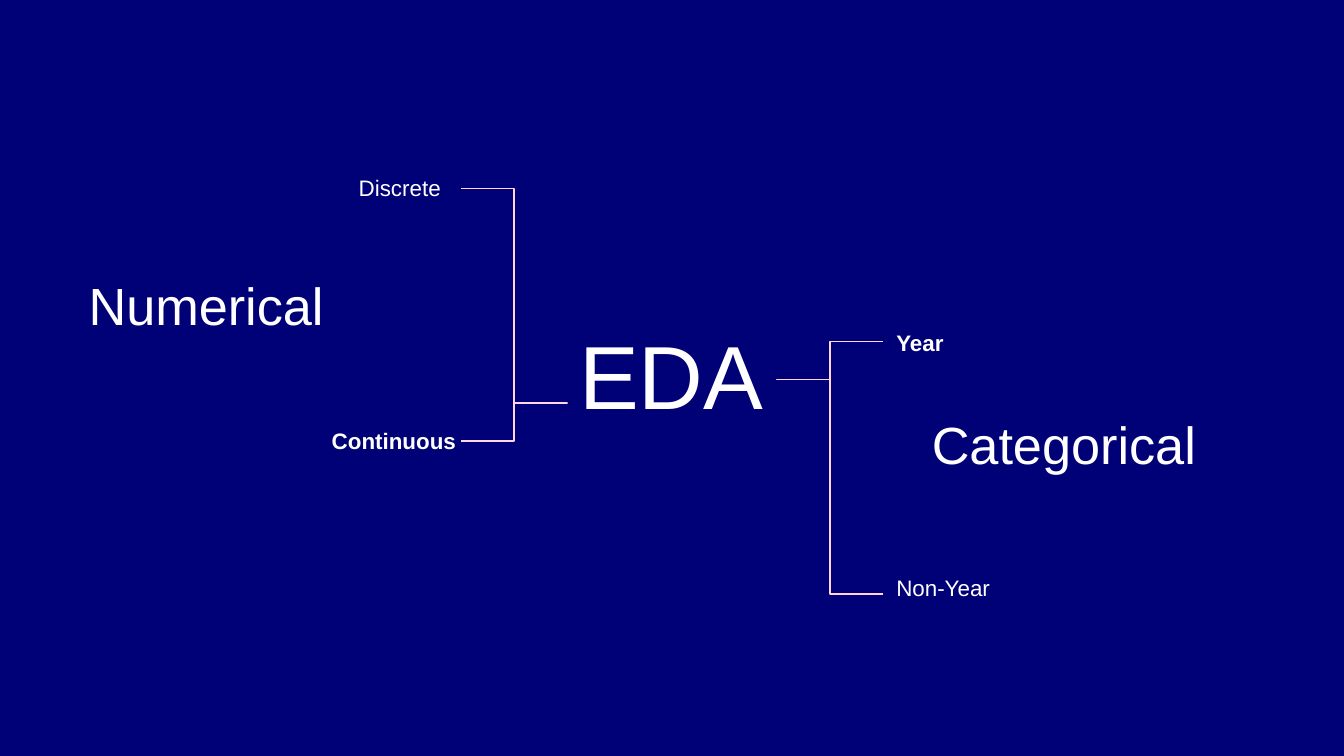
from dataclasses import dataclass

from pptx import Presentation
from pptx.dml.color import RGBColor
from pptx.enum.shapes import MSO_SHAPE
from pptx.enum.text import MSO_ANCHOR, MSO_AUTO_SIZE, PP_ALIGN
from pptx.slide import Slide
from pptx.text.text import TextFrame
from pptx.util import Cm, Pt

NAVY = RGBColor(0x01, 0x01, 0x77)
WHITE = RGBColor(0xFF, 0xFF, 0xFF)
PINK = RGBColor(0xFF, 0xD6, 0xE1)

FONT = "Arial"
INSET = Cm(0.25)
BRACE_WIDTH, BRACE_HEIGHT = 2.01, 4.78
BRACE_POINT = 0.849
GROUP_WIDTH, GROUP_HEIGHT = 13.13, 1.6
LEAF_HEIGHT = 1.3


@dataclass(frozen=True)
class Brace:
    left: float
    top: float
    rotation: int = 0


@dataclass(frozen=True)
class Group:
    name: str
    left: float
    top: float


@dataclass(frozen=True)
class Leaf:
    name: str
    left: float
    top: float
    width: float = 2.69
    bold: bool = False


BRACES = [Brace(8.71, 3.56), Brace(14.68, 6.45, 180)]
GROUPS = [Group("Numerical", -2.67, 5.0), Group("Categorical", 13.54, 7.62)]
LEAVES = [
    Leaf("Discrete", 6.53, 2.9),
    Leaf("Continuous", 6.02, 7.67, width=3.2, bold=True),
    Leaf("Year", 16.69, 5.82, bold=True),
    Leaf("Non-Year", 16.69, 10.46),
]


def write(frame: TextFrame, text: str, size: int, anchor: MSO_ANCHOR,
          alignment: PP_ALIGN, bold: bool = False) -> None:
    frame.word_wrap = True
    frame.auto_size = MSO_AUTO_SIZE.NONE
    frame.vertical_anchor = anchor
    frame.margin_left = frame.margin_right = INSET
    frame.margin_top = frame.margin_bottom = INSET
    frame.text = text
    paragraph = frame.paragraphs[0]
    paragraph.alignment = alignment
    paragraph.font.name = FONT
    paragraph.font.size = Pt(size)
    paragraph.font.bold = bold
    paragraph.font.color.rgb = WHITE


def place_title(slide: Slide) -> None:
    title = slide.shapes.title
    title.left, title.top = Cm(8.71), Cm(5.97)
    title.width, title.height = Cm(7.95), Cm(2.36)
    write(title.text_frame, "EDA", 48, MSO_ANCHOR.BOTTOM, PP_ALIGN.CENTER)


def draw_brace(slide: Slide, brace: Brace) -> None:
    bracket = slide.shapes.add_shape(
        MSO_SHAPE.RIGHT_BRACE, Cm(brace.left), Cm(brace.top),
        Cm(BRACE_WIDTH), Cm(BRACE_HEIGHT))
    bracket.adjustments[0] = 0
    bracket.adjustments[1] = BRACE_POINT
    bracket.rotation = brace.rotation
    bracket.shadow.inherit = False
    bracket.fill.background()
    bracket.line.color.rgb = PINK
    bracket.line.width = Pt(0.75)


def draw_group(slide: Slide, group: Group) -> None:
    heading = slide.shapes.add_textbox(
        Cm(group.left), Cm(group.top), Cm(GROUP_WIDTH), Cm(GROUP_HEIGHT))
    write(heading.text_frame, group.name, 28, MSO_ANCHOR.BOTTOM, PP_ALIGN.CENTER)


def draw_leaf(slide: Slide, leaf: Leaf) -> None:
    label = slide.shapes.add_textbox(
        Cm(leaf.left), Cm(leaf.top), Cm(leaf.width), Cm(LEAF_HEIGHT))
    write(label.text_frame, leaf.name, 12, MSO_ANCHOR.MIDDLE, PP_ALIGN.LEFT, leaf.bold)


def main() -> None:
    deck = Presentation()
    deck.slide_width, deck.slide_height = Cm(25.4), Cm(14.29)
    slide = deck.slides.add_slide(deck.slide_layouts.get_by_name("Title Only"))
    slide.background.fill.solid()
    slide.background.fill.fore_color.rgb = NAVY

    place_title(slide)
    for brace in BRACES:
        draw_brace(slide, brace)
    for group in GROUPS:
        draw_group(slide, group)
    for leaf in LEAVES:
        draw_leaf(slide, leaf)

    deck.save("out.pptx")


if __name__ == "__main__":
    main()
